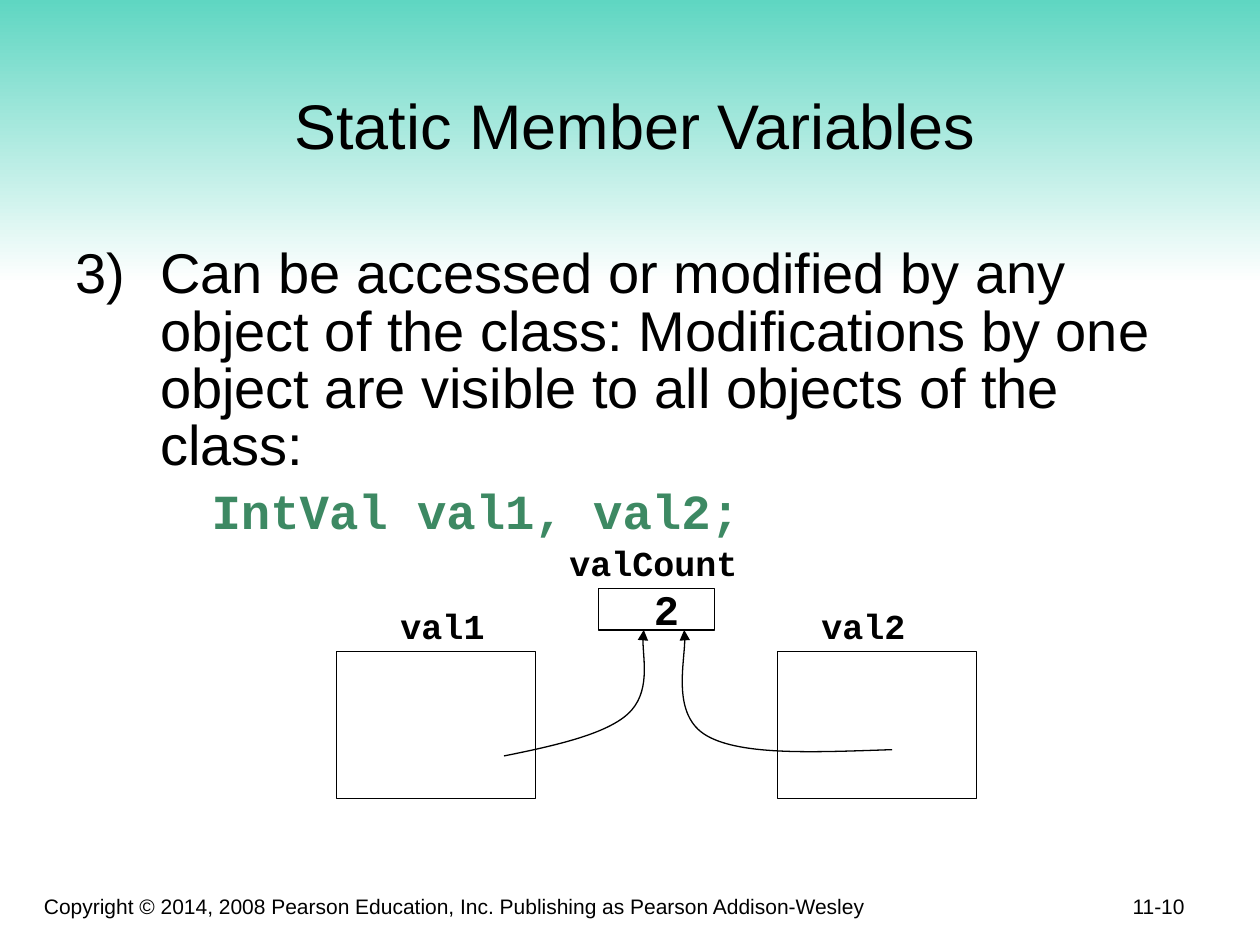
from dataclasses import dataclass

from lxml.etree import SubElement
from pptx import Presentation
from pptx.dml.color import RGBColor as RGB
from pptx.enum.shapes import MSO_SHAPE as Shape
from pptx.enum.text import MSO_ANCHOR as Anchor, MSO_AUTO_SIZE as AutoSize, PP_ALIGN as Align
from pptx.oxml.ns import qn
from pptx.util import Inches, Pt


@dataclass(frozen=True)
class Theme:
    sans: str = "Arial"
    mono: str = "Courier New"
    black: RGB = RGB(0, 0, 0)
    white: RGB = RGB(255, 255, 255)
    band: RGB = RGB(0x5F, 0xD6, 0xC2)
    code: RGB = RGB(0x3D, 0x89, 0x63)
    title_size: int = 36
    body_size: int = 32
    code_size: int = 28
    value_size: int = 24
    label_size: int = 20
    footer_size: int = 12
    line: float = 0.75


@dataclass(frozen=True)
class Box:
    x: float
    y: float
    w: float
    h: float

    def emu(self) -> tuple:
        return tuple(Inches(v) for v in (self.x, self.y, self.w, self.h))


@dataclass(frozen=True)
class Label:
    text: str
    box: Box
    size: int


@dataclass(frozen=True)
class Footer:
    text: str
    box: Box
    align: Align


@dataclass(frozen=True)
class Curve:
    start: tuple
    beziers: list


T = Theme()

OBJECT_BOXES = [Box(x, 5.17, 1.58, 1.17) for x in (2.67, 6.17)]
COUNT_BOX = Box(4.75, 4.67, 0.92, 0.33)
LABELS = [
    Label("valCount", Box(4.42, 4.25, 1.56, 0.44), T.label_size),
    Label("val1", Box(3.08, 4.75, 0.88, 0.44), T.label_size),
    Label("val2", Box(6.42, 4.75, 0.88, 0.44), T.label_size),
    Label("2", Box(5.09, 4.58, 0.41, 0.5), T.value_size),
]
CURVES = [
    Curve((4, 6), [(4.4, 5.92), (4.8, 5.83), (4.98, 5.67),
                   (5.17, 5.5), (5.08, 5.11), (5.11, 5)]),
    Curve((7.08, 5.95), [(6.48, 5.97), (5.89, 6), (5.61, 5.84),
                         (5.33, 5.68), (5.46, 5.14), (5.43, 5)]),
]
FOOTERS = [
    Footer("Copyright © 2014, 2008 Pearson Education, Inc. Publishing as Pearson Addison-Wesley",
           Box(0.25, 6.92, 6.75, 0.42), Align.LEFT),
    Footer("11-10", Box(7.42, 6.84, 2.08, 0.5), Align.RIGHT),
]


def style(p, font: str, size: int, color: RGB = T.black, bold: bool = False) -> None:
    for r in p.runs:
        r.font.name = font
        r.font.size = Pt(size)
        r.font.color.rgb = color
        r.font.bold = bold


def place(sp, box: Box) -> None:
    sp.left, sp.top, sp.width, sp.height = box.emu()


def add_band(s) -> None:
    sp = s.shapes.add_shape(Shape.RECTANGLE, *Box(0, 0, 10, 2.25).emu())
    sp.shadow.inherit = False
    sp.line.fill.background()
    sp.fill.gradient()
    sp.fill.gradient_angle = 270
    for stop, color in zip(sp.fill.gradient_stops, (T.band, T.white)):
        stop.color.rgb = color
    s.shapes._spTree.insert(2, sp._element)


def fill_title(sp) -> None:
    place(sp, Box(0.33, 0.25, 9.42, 1.09))
    tf = sp.text_frame
    tf.text = "Static Member Variables"
    tf.vertical_anchor = Anchor.BOTTOM
    tf.auto_size = AutoSize.NONE
    tf.paragraphs[0].alignment = Align.CENTER
    style(tf.paragraphs[0], T.sans, T.title_size)


def indent(p, margin: float, first: float, before: int) -> None:
    pPr = p._p.get_or_add_pPr()
    pPr.set("marL", str(Inches(margin)))
    pPr.set("indent", str(Inches(first)))
    SubElement(pPr, qn("a:buNone"))
    p.line_spacing = 0.85
    p.space_before = Pt(before)


def fill_body(sp) -> None:
    place(sp, Box(0.5, 1.92, 8.75, 5))
    tf = sp.text_frame
    tf.auto_size = AutoSize.NONE
    tf.margin_right = 0
    tf.text = ("3)\tCan be accessed or modified by any object of the class: "
               "Modifications by one object are visible to all objects of the class:")
    p = tf.paragraphs[0]
    indent(p, 0.67, -0.67, 0)
    style(p, T.sans, T.body_size)
    p = tf.add_paragraph()
    p.text = "IntVal val1, val2;"
    p.level = 1
    indent(p, 1.08, 0, 7)
    style(p, T.mono, T.code_size, T.code, True)


def outline(sp) -> None:
    sp.shadow.inherit = False
    sp.fill.background()
    sp.line.color.rgb = T.black
    sp.line.width = Pt(T.line)


def add_box(s, box: Box) -> None:
    outline(s.shapes.add_shape(Shape.RECTANGLE, *box.emu()))


def add_label(s, label: Label) -> None:
    tf = s.shapes.add_textbox(*label.box.emu()).text_frame
    tf.text = label.text
    tf.word_wrap = False
    tf.auto_size = AutoSize.SHAPE_TO_FIT_TEXT
    style(tf.paragraphs[0], T.mono, label.size, bold=True)


def add_curve(s, curve: Curve) -> None:
    start, *points = [(Inches(x), Inches(y)) for x, y in (curve.start, *curve.beziers)]
    builder = s.shapes.build_freeform(*start)
    builder.add_line_segments(points, close=False)
    sp = builder.convert_to_shape()
    outline(sp)
    path = next(sp._element.iter(qn("a:path")))
    segments = path.findall(qn("a:lnTo"))
    for i in range(0, len(segments), 3):
        bezier = SubElement(path, qn("a:cubicBezTo"))
        for segment in segments[i:i + 3]:
            bezier.append(segment[0])
            path.remove(segment)
    SubElement(sp.line._get_or_add_ln(), qn("a:tailEnd"), type="triangle")


def add_footer(s, footer: Footer) -> None:
    tf = s.shapes.add_textbox(*footer.box.emu()).text_frame
    tf.text = footer.text
    tf.word_wrap = True
    tf.vertical_anchor = Anchor.BOTTOM
    tf.paragraphs[0].alignment = footer.align
    style(tf.paragraphs[0], T.sans, T.footer_size)


def main() -> None:
    prs = Presentation()
    prs.slide_width, prs.slide_height = Inches(10), Inches(7.5)
    s = prs.slides.add_slide(prs.slide_layouts[1])
    add_band(s)
    fill_title(s.shapes.title)
    fill_body(s.placeholders[1])
    for footer in FOOTERS:
        add_footer(s, footer)
    for box in [*OBJECT_BOXES, COUNT_BOX]:
        add_box(s, box)
    for curve in CURVES:
        add_curve(s, curve)
    for label in LABELS:
        add_label(s, label)
    prs.save("out.pptx")


if __name__ == "__main__":
    main()
